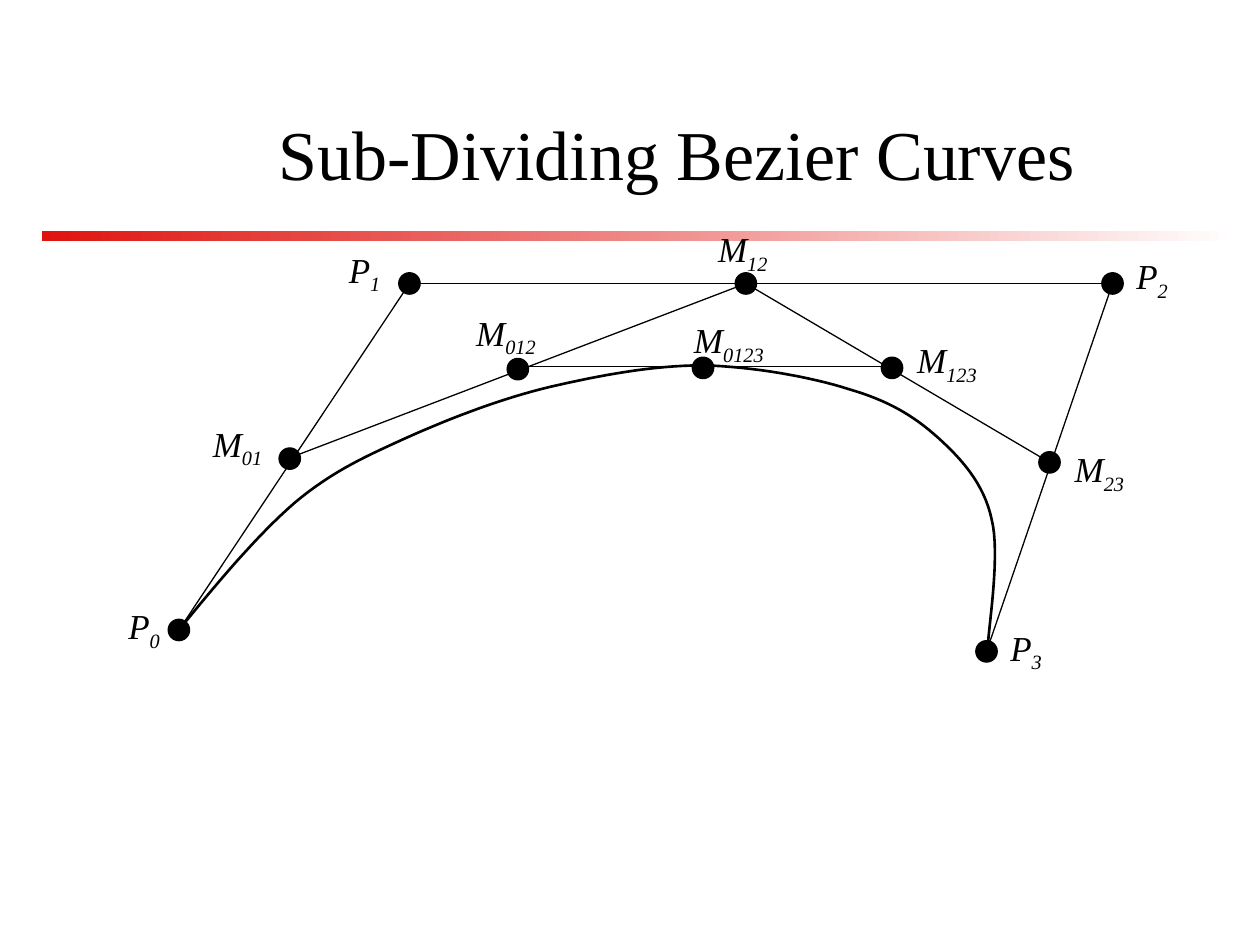
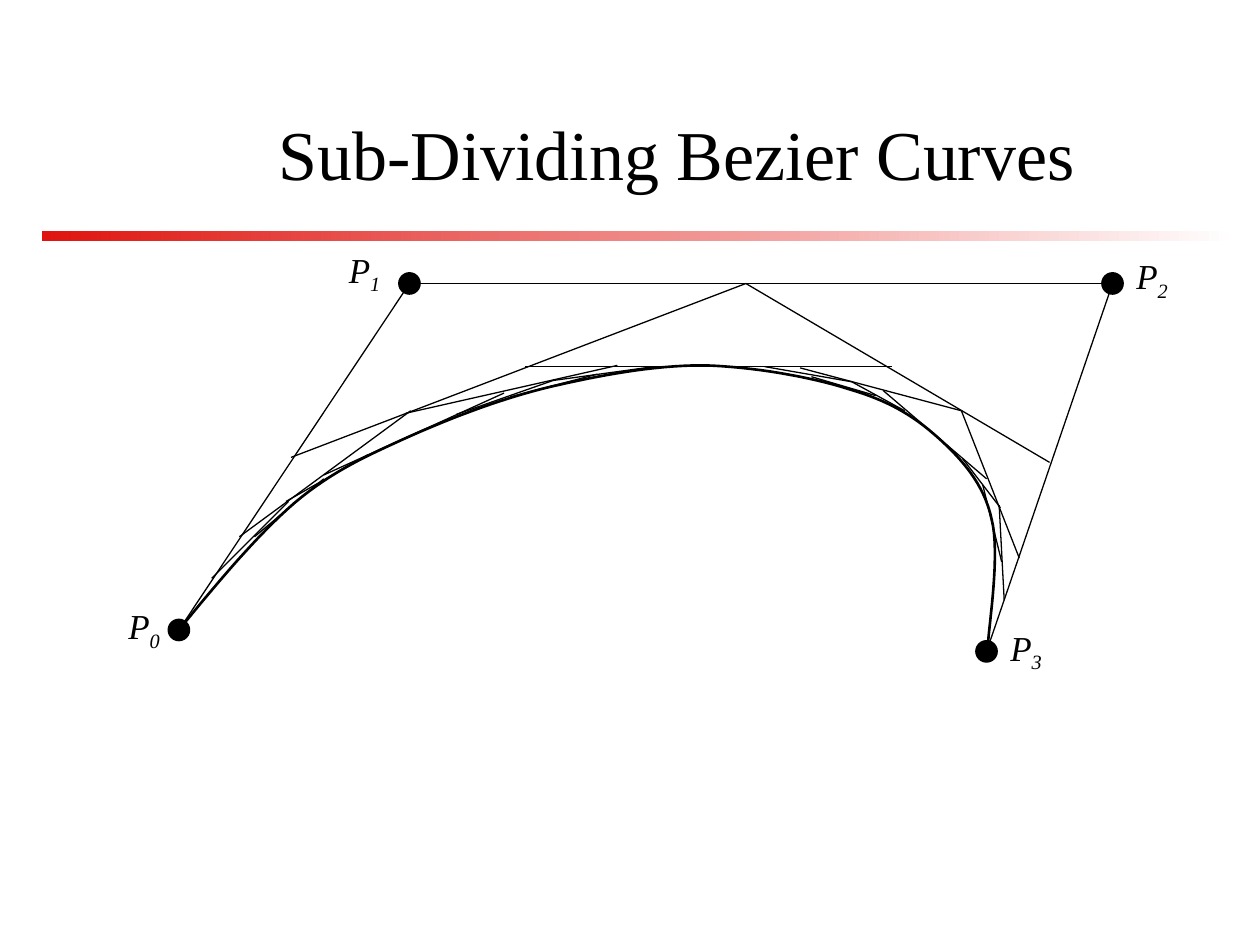
from dataclasses import dataclass
from itertools import pairwise

from lxml import etree
from pptx import Presentation
from pptx.dml.color import RGBColor
from pptx.enum.shapes import MSO_CONNECTOR, MSO_SHAPE
from pptx.enum.text import MSO_ANCHOR, MSO_AUTO_SIZE, PP_ALIGN
from pptx.oxml.ns import qn
from pptx.util import Inches, Pt

STRAIGHT = MSO_CONNECTOR.STRAIGHT
OVAL, RECTANGLE = MSO_SHAPE.OVAL, MSO_SHAPE.RECTANGLE
MIDDLE = MSO_ANCHOR.MIDDLE
FIT_SHAPE, NO_FIT = MSO_AUTO_SIZE.SHAPE_TO_FIT_TEXT, MSO_AUTO_SIZE.NONE
CENTER, LEFT = PP_ALIGN.CENTER, PP_ALIGN.LEFT

BLACK = RGBColor(0x00, 0x00, 0x00)
RED = RGBColor(0xDF, 0x14, 0x0F)
WHITE = RGBColor(0xFF, 0xFF, 0xFF)
FONT = "Times New Roman"
TITLE = "Sub-Dividing Bezier Curves"

SLIDE_WIDTH, SLIDE_HEIGHT = Inches(10), Inches(7.5)
COLUMNS = 10
CELL = SLIDE_WIDTH / COLUMNS
TITLE_AREA = (1.33, 0.67, 8.08, 1.08)
BAND_AREA = (0.33, 1.83, 9.5, 0.08)
DOT_SIZE = 0.17
LABEL_HEIGHT = 0.48
LETTER_WIDTHS = {"P": 0.38, "M": 0.45}
DIGIT_WIDTH = 0.08
THIN, THICK = Pt(0.75), Pt(1.5)
CURVE_STEPS = 16

Point = tuple[float, float]
Chain = list[Point]


@dataclass(frozen=True)
class Knot:
    """A labelled point: its centre and the corner of its label, in cells."""

    letter: str
    index: str
    centre: Point
    label: Point


CONTROL_KNOTS = [
    Knot("P", "0", (1.42, 5), (0.92, 4.75)),
    Knot("P", "1", (3.25, 2.25), (2.67, 1.92)),
    Knot("P", "2", (8.83, 2.25), (8.92, 1.97)),
    Knot("P", "3", (7.83, 5.17), (7.92, 4.92)),
]
MIDPOINT_KNOTS = [
    Knot("M", "01", (2.3, 3.64), (1.59, 3.3)),
    Knot("M", "12", (5.92, 2.25), (5.6, 1.76)),
    Knot("M", "23", (8.33, 3.67), (8.43, 3.5)),
    Knot("M", "012", (4.11, 2.93), (3.68, 2.42)),
    Knot("M", "123", (7.08, 2.92), (7.18, 2.64)),
    Knot("M", "0123", (5.58, 2.92), (5.41, 2.48)),
]
CONTROL_POLYGON = [knot.centre for knot in CONTROL_KNOTS]
FIRST_DIVISION = [
    [(2.31, 3.63), (5.92, 2.25), (8.33, 3.67)],
    [(4.17, 2.91), (7.08, 2.91)],
]
FURTHER_DIVISIONS = [
    [(1.9, 4.26), (3.26, 3.26)],
    [(3.22, 3.28), (4.9, 2.9)],
    [(6.35, 2.92), (7.63, 3.26), (8.09, 4.43)],
    [(2.57, 3.77), (4, 3.12)],
    [(7.01, 3.1), (7.83, 3.8)],
    [(1.68, 4.59), (2.29, 3.98)],
    [(2.27, 3.98), (2.92, 3.61)],
    [(2.02, 4.26), (2.57, 3.8)],
    [(3.62, 3.29), (4.39, 3.02), (5.19, 2.91)],
    [(4.05, 3.15), (4.74, 2.97)],
    [(6.07, 2.91), (6.76, 3.03), (7.18, 3.26)],
    [(6.44, 2.99), (6.95, 3.14)],
    [(7.64, 3.64), (7.94, 4.03)],
    [(7.93, 4.01), (7.97, 4.76)],
    [(7.95, 4.46), (7.8, 3.85)],
]
CURVE_START = (1.42, 5)
CURVE_PIECES = [
    [(1.73, 4.62), (2.04, 4.25), (2.34, 3.99)],
    [(2.65, 3.73), (2.93, 3.61), (3.26, 3.46)],
    [(3.6, 3.31), (3.99, 3.16), (4.37, 3.07)],
    [(4.76, 2.98), (5.18, 2.9), (5.58, 2.9)],
    [(5.97, 2.91), (6.43, 2.99), (6.74, 3.09)],
    [(7.05, 3.18), (7.25, 3.3), (7.44, 3.47)],
    [(7.63, 3.64), (7.81, 3.84), (7.87, 4.12)],
    [(7.94, 4.39), (7.85, 4.95), (7.84, 5.13)],
]


def cells(*lengths: float) -> list[int]:
    """Turn grid lengths into slide units."""
    return [round(length * CELL) for length in lengths]


def write(paragraph, text: str, *, size: float, italic: bool = False,
          align=LEFT, baseline: int = 0) -> None:
    """Add a formatted span of text to a paragraph."""
    paragraph.alignment = align
    span = paragraph.add_run()
    span.text = text
    span.font.name = FONT
    span.font.size = Pt(size)
    span.font.italic = italic
    span.font.color.rgb = BLACK
    if baseline:
        span.font._element.set("baseline", str(baseline * 1000))


def draw_outline(shape, width: int) -> None:
    """Give a shape a black line."""
    shape.line.color.rgb = BLACK
    shape.line.width = width


def draw_knot(page, knot: Knot) -> None:
    """Draw a dot and its label with a subscript index."""
    x, y = knot.centre
    corner = cells(x - DOT_SIZE / 2, y - DOT_SIZE / 2)
    dot = page.shapes.add_shape(OVAL, *corner, *cells(DOT_SIZE, DOT_SIZE))
    dot.shadow.inherit = False
    dot.fill.solid()
    dot.fill.fore_color.rgb = BLACK
    draw_outline(dot, THIN)

    width = LETTER_WIDTHS[knot.letter] + DIGIT_WIDTH * len(knot.index)
    box = page.shapes.add_textbox(*cells(*knot.label, width, LABEL_HEIGHT))
    box.text_frame.word_wrap = False
    box.text_frame.auto_size = FIT_SHAPE
    para = box.text_frame.paragraphs[0]
    write(para, knot.letter, size=20, italic=True)
    write(para, knot.index, size=20, italic=True, baseline=-25)


def draw_chain(page, chain: Chain) -> None:
    """Join consecutive points with thin lines."""
    for start, end in pairwise(chain):
        line = page.shapes.add_connector(STRAIGHT, *cells(*start, *end))
        draw_outline(line, THIN)
        etree.SubElement(line.element.spPr, qn("a:effectLst"))


def bezier_point(corners: Chain, share: float) -> Point:
    """Find a curve point by repeatedly dividing the control polygon."""
    while len(corners) > 1:
        corners = [
            (x1 + (x2 - x1) * share, y1 + (y2 - y1) * share)
            for (x1, y1), (x2, y2) in pairwise(corners)
        ]
    return corners[0]


def draw_curve(page) -> None:
    """Draw the thick curve through all its cubic pieces."""
    points = [CURVE_START]
    for piece in CURVE_PIECES:
        corners = [points[-1], *piece]
        points += [bezier_point(corners, step / CURVE_STEPS)
                   for step in range(1, CURVE_STEPS + 1)]
    builder = page.shapes.build_freeform(*cells(*points[0]))
    builder.add_line_segments([cells(*point) for point in points[1:]], close=False)
    curve = builder.convert_to_shape()
    curve.shadow.inherit = False
    curve.fill.background()
    draw_outline(curve, THICK)


def add_band(page) -> None:
    """Put the fading band on the layout that the pages share."""
    band = page.shapes.add_shape(RECTANGLE, *cells(*BAND_AREA))
    band.shadow.inherit = False
    band.line.fill.background()
    band.fill.gradient()
    band.fill.gradient_angle = 0
    for stop, colour in zip(band.fill.gradient_stops, (RED, WHITE)):
        stop.color.rgb = colour
    page.slide_layout.shapes.element.append(band.element)


def add_page(deck, knots: list[Knot], chains: list[Chain]):
    """Add a titled page with knots, construction lines and the curve."""
    page = deck.slides.add_slide(deck.slide_layouts.get_by_name("Title Only"))
    title = page.shapes.title
    title.left, title.top, title.width, title.height = cells(*TITLE_AREA)
    title.text_frame.auto_size = NO_FIT
    title.text_frame.vertical_anchor = MIDDLE
    write(title.text_frame.paragraphs[0], TITLE, size=40, align=CENTER)
    for chain in [CONTROL_POLYGON, *chains]:
        draw_chain(page, chain)
    for knot in knots:
        draw_knot(page, knot)
    draw_curve(page)
    return page


def main() -> None:
    """Build and save the deck."""
    deck = Presentation()
    deck.slide_width, deck.slide_height = SLIDE_WIDTH, SLIDE_HEIGHT
    first_page = add_page(deck, CONTROL_KNOTS + MIDPOINT_KNOTS, FIRST_DIVISION)
    add_band(first_page)
    add_page(deck, CONTROL_KNOTS, FIRST_DIVISION + FURTHER_DIVISIONS)
    deck.save("out.pptx")


if __name__ == "__main__":
    main()
